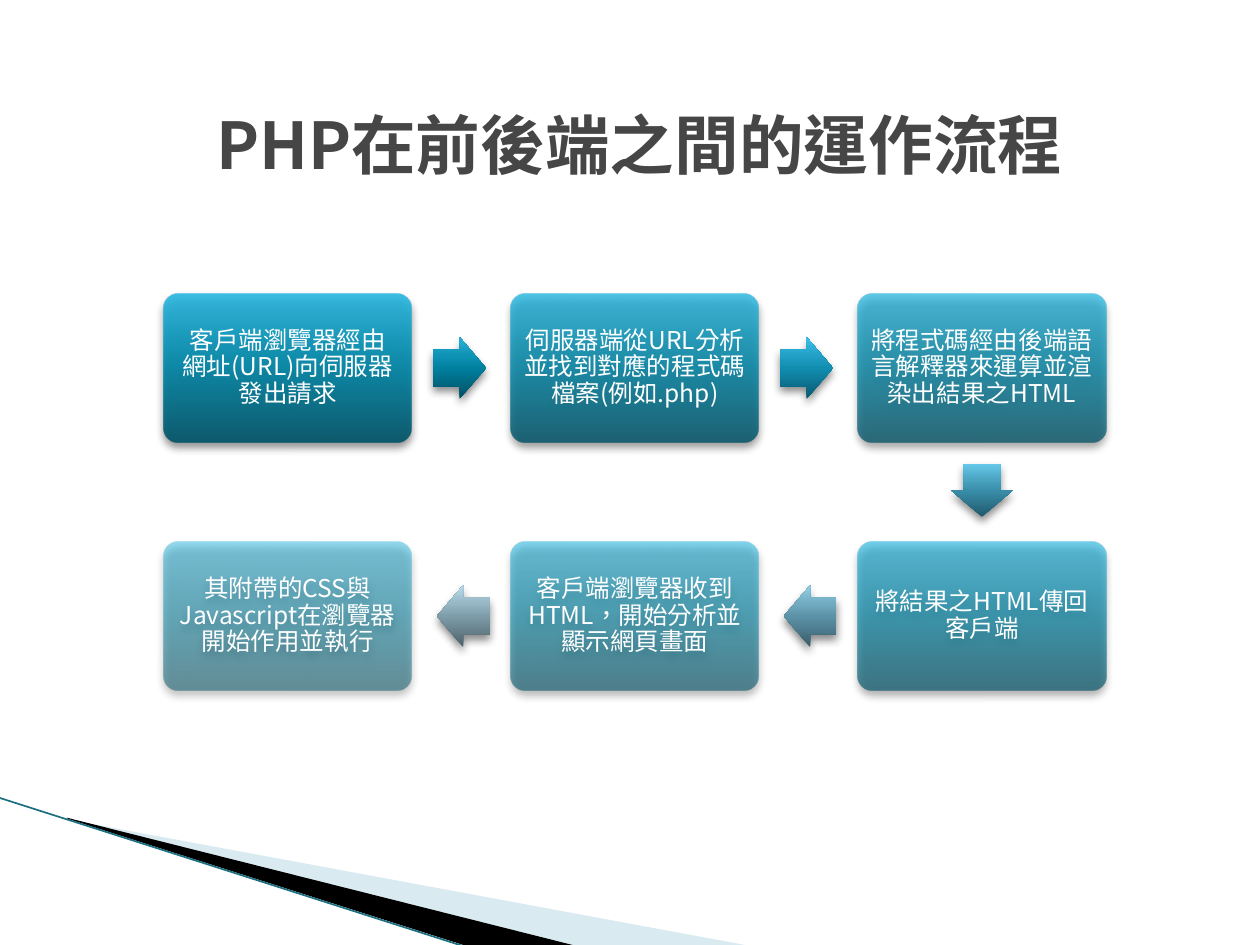
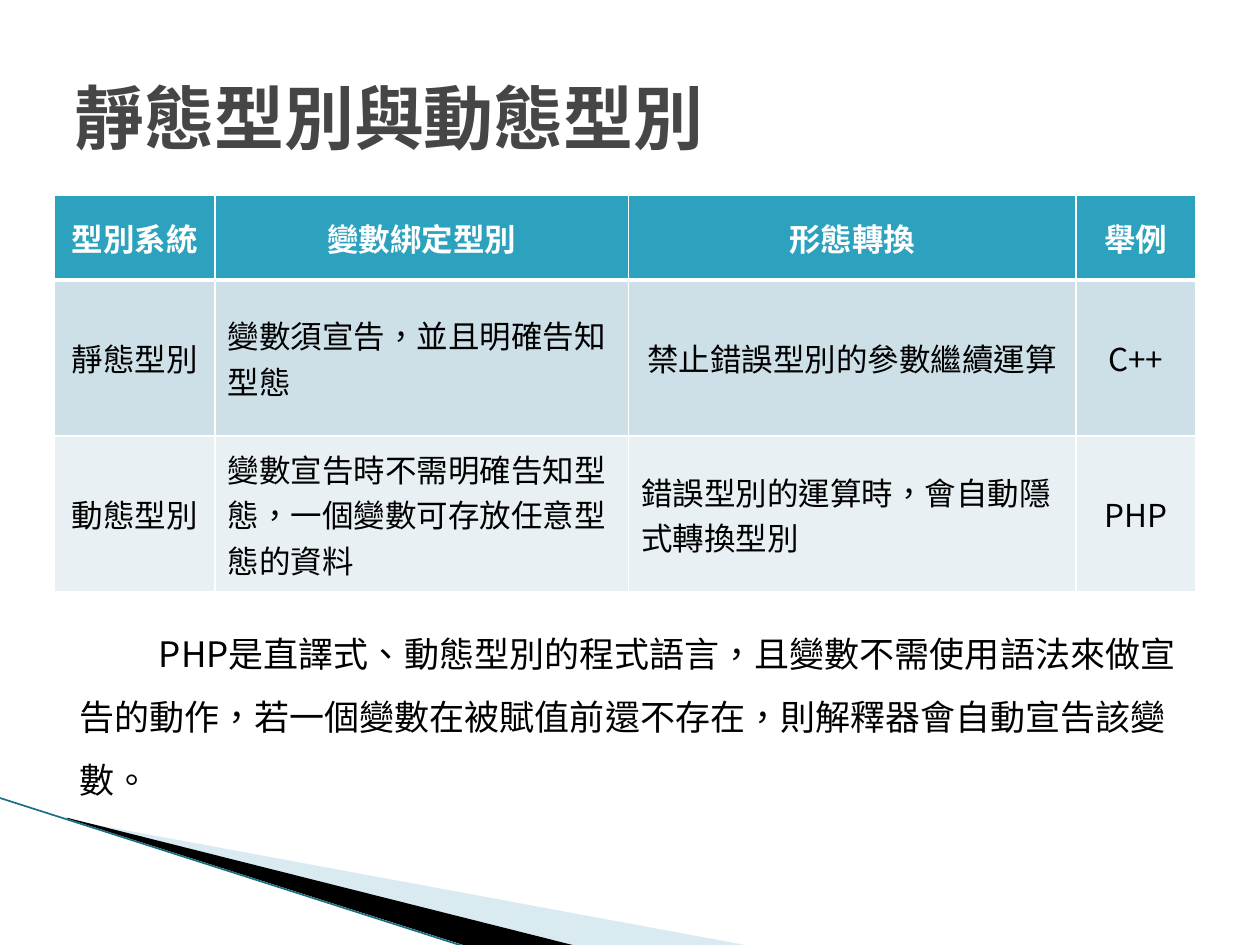
from lxml import etree
from pptx import Presentation
from pptx.dml.color import RGBColor
from pptx.enum.shapes import MSO_CONNECTOR, MSO_SHAPE
from pptx.enum.text import MSO_ANCHOR, MSO_AUTO_SIZE, PP_ALIGN
from pptx.oxml import parse_xml
from pptx.oxml.ns import nsdecls, qn
from pptx.util import Pt

LEFT, CENTER = PP_ALIGN.LEFT, PP_ALIGN.CENTER
MIDDLE = MSO_ANCHOR.MIDDLE
RIGHT_ARROW, LEFT_ARROW, DOWN_ARROW = (
    MSO_SHAPE.RIGHT_ARROW, MSO_SHAPE.LEFT_ARROW, MSO_SHAPE.DOWN_ARROW)
ROUNDED_RECTANGLE = MSO_SHAPE.ROUNDED_RECTANGLE
STRAIGHT = MSO_CONNECTOR.STRAIGHT
NO_AUTOFIT = MSO_AUTO_SIZE.NONE
FONT, MONO = "Noto Sans CJK SC", "Courier New"
LANGUAGE = "zh-TW"
COLORS = {
    "title": "464646", "text": "000000", "white": "FFFFFF",
    "swoosh": "A0CBDC", "swoosh_dark": "000000", "swoosh_line": "1A6F80",
    "header": "2DA2BF", "static_row": "CDE0E8", "dynamic_row": "E8F0F4",
}

# Content
FLOW_TITLE = "PHP在前後端之間的運作流程"
STEPS = [
    "客戶端瀏覽器經由 網址(URL)向伺服器發出請求",
    "伺服器端從URL分析並找到對應的程式碼檔案(例如.php)",
    "將程式碼經由後端語言解釋器來運算並渲染出結果之HTML",
    "將結果之HTML傳回客戶端",
    "客戶端瀏覽器收到HTML，開始分析並顯示網頁畫面",
    "其附帶的CSS與Javascript在瀏覽器開始作用並執行",
]
STEP_GRADIENT = ["005367", "0086A7", "0E9ABE", "2CB9E3"]
ARROW_GRADIENTS = [
    ["004F63", "00809F", "0E93B6", "2DB2D9"],
    ["085970", "118DB0", "22A0C6", "3CC2ED"],
    ["21596C", "398EAA", "4BA4C2", "65C8EA"],
    ["385C69", "5D93A8", "72ABC1", "90D1E9"],
    ["4D6169", "7E9CA9", "97B6C4", "B9DDED"],
]
TYPES_TITLE = "靜態型別與動態型別"
TYPE_ROWS = [
    ["型別系統", "變數綁定型別", "形態轉換", "舉例"],
    ["靜態型別", "變數須宣告，並且明確告知型態", "禁止錯誤型別的參數繼續運算", "C++"],
    ["動態型別", "變數宣告時不需明確告知型態，一個變數可存放任意型態的資料",
     "錯誤型別的運算時，會自動隱式轉換型別", "PHP"],
]
LEFT_ALIGNED = {(1, 1), (2, 1), (2, 2)}
COLUMN_WIDTHS = [92, 236.2, 255.6, 68.4]
ROW_HEIGHTS = [48.4, 89.2, 89.2]
ROW_FILLS = ["header", "static_row", "dynamic_row"]
SUMMARY = ("PHP是直譯式、動態型別的程式語言，且變數不需使用語法來做宣告的動作，"
           "若一個變數在被賦值前還不存在，則解釋器會自動宣告該變數。")

# Corner decoration: outline, colour, opacity in percent
SWOOSHES = [
    ([(39.6, 468.5), (428.4, 540.5), (328.3, 540.5), (39.6, 468)], "swoosh", 40),
    ([(38.2, 467.3), (329, 540.5), (267.8, 541), (38.9, 468)], "swoosh_dark", 100),
]
SWOOSH_LINE = [(-0.7, 455.8), (267.1, 541.4)]

# Step grid
COLUMNS = 3
GRID_LEFT, GRID_TOP = 93.6, 167.8
STEP_W, STEP_H = 141.8, 85
PITCH_X, PITCH_Y = 198.3, 141.8
ARROW_LENGTH, ARROW_BREADTH = 30.2, 35.3


def rgb(name):
    return RGBColor.from_string(COLORS[name])


def points(*values):
    return [Pt(value) for value in values]


def style(paragraph, size, color, bold=False, align=LEFT, latin=FONT):
    paragraph.alignment = align
    font = paragraph.font
    font.size, font.bold, font.name = Pt(size), bold, latin
    font.color.rgb = rgb(color)
    defaults = paragraph._p.pPr.find(qn("a:defRPr"))
    defaults.set("lang", LANGUAGE)
    etree.SubElement(defaults, qn("a:ea"), typeface=FONT)
    # Traditional Chinese centres its commas and full stops
    for run in paragraph.runs:
        run._r.get_or_add_rPr().set("lang", LANGUAGE)


def set_gradient(shape, colors, opacity=100):
    """Give the shape a bottom-to-top gradient and a soft shadow below it."""
    stops = "".join(
        f'<a:gs pos="{pos}000"><a:srgbClr val="{color}">'
        f'<a:alpha val="{opacity}000"/></a:srgbClr></a:gs>'
        for pos, color in zip((0, 50, 70, 100), colors))
    shape.line.fill.background()
    line = shape._element.spPr.find(qn("a:ln"))
    line.addprevious(parse_xml(
        f'<a:gradFill {nsdecls("a")} rotWithShape="1"><a:gsLst>{stops}</a:gsLst>'
        '<a:lin ang="16200000" scaled="0"/></a:gradFill>'))
    line.addnext(parse_xml(
        f'<a:effectLst {nsdecls("a")}><a:outerShdw blurRad="{Pt(5)}" '
        f'dist="{Pt(3)}" dir="5400000" rotWithShape="0"><a:srgbClr val="000000">'
        '<a:alpha val="45000"/></a:srgbClr></a:outerShdw></a:effectLst>'))


def add_decoration(slide):
    for outline, color, opacity in SWOOSHES:
        corners = [points(*corner) for corner in outline]
        builder = slide.shapes.build_freeform(*corners[0])
        builder.add_line_segments(corners[1:], close=True)
        swoosh = builder.convert_to_shape()
        swoosh.shadow.inherit = False
        swoosh.line.fill.background()
        swoosh.fill.solid()
        swoosh.fill.fore_color.rgb = rgb(color)
        if opacity < 100:
            tint = swoosh._element.spPr.find(".//" + qn("a:srgbClr"))
            etree.SubElement(tint, qn("a:alpha"), val=f"{opacity}000")
    start, end = SWOOSH_LINE
    edge = slide.shapes.add_connector(STRAIGHT, *points(*start), *points(*end))
    edge.line.color.rgb = rgb("swoosh_line")
    edge.line.width = Pt(0.95)
    etree.SubElement(edge._element.spPr, qn("a:effectLst"))


def new_slide(prs, title_text, box, size, align, latin=FONT):
    slide = prs.slides.add_slide(prs.slide_layouts[5])
    add_decoration(slide)
    title = slide.shapes.title
    title.left, title.top, title.width, title.height = points(*box)
    frame = title.text_frame
    frame.text = title_text
    frame.auto_size = NO_AUTOFIT
    frame.vertical_anchor = MIDDLE
    style(frame.paragraphs[0], size, "title", True, align, latin)
    return slide


def step_center(index):
    """Steps run rightwards on the first row and back on the next."""
    row, column = divmod(index, COLUMNS)
    if row % 2:
        column = COLUMNS - 1 - column
    return (GRID_LEFT + column * PITCH_X + STEP_W / 2,
            GRID_TOP + row * PITCH_Y + STEP_H / 2)


def add_centered(slide, kind, x, y, width, height):
    return slide.shapes.add_shape(
        kind, *points(x - width / 2, y - height / 2, width, height))


def add_step(slide, index, text):
    step = add_centered(slide, ROUNDED_RECTANGLE,
                        *step_center(index), STEP_W, STEP_H)
    step.adjustments[0] = 0.1
    set_gradient(step, STEP_GRADIENT, 90 - 8 * index)
    frame = step.text_frame
    frame.word_wrap = True
    frame.vertical_anchor = MIDDLE
    frame.margin_left = frame.margin_right = Pt(4.3)
    frame.margin_top = frame.margin_bottom = Pt(4.3)
    frame.text = text
    frame.paragraphs[0].line_spacing = 0.9
    style(frame.paragraphs[0], 14, "white", align=CENTER)


def add_step_arrow(slide, index, colors):
    (x1, y1), (x2, y2) = step_center(index), step_center(index + 1)
    x, y = (x1 + x2) / 2, (y1 + y2) / 2
    # Each arrow sits one point nearer to the step it leaves
    if x1 == x2:
        arrow = add_centered(slide, DOWN_ARROW, x, y - 1,
                             ARROW_BREADTH, ARROW_LENGTH)
    else:
        kind, shift = (RIGHT_ARROW, -1) if x2 > x1 else (LEFT_ARROW, 1)
        arrow = add_centered(slide, kind, x + shift, y,
                             ARROW_LENGTH, ARROW_BREADTH)
    arrow.adjustments[0], arrow.adjustments[1] = 0.6, 0.5
    set_gradient(arrow, colors)


def set_borders(cell, bottom):
    properties = cell._tc.get_or_add_tcPr()
    for side, width in (("L", 1), ("R", 1), ("T", 1), ("B", bottom)):
        properties.append(parse_xml(
            f'<a:ln{side} {nsdecls("a")} w="{Pt(width)}"><a:solidFill>'
            f'<a:srgbClr val="{COLORS["white"]}"/></a:solidFill></a:ln{side}>'))


def add_type_table(slide):
    table = slide.shapes.add_table(
        len(ROW_HEIGHTS), len(COLUMN_WIDTHS),
        *points(31, 111.6, sum(COLUMN_WIDTHS), sum(ROW_HEIGHTS))).table
    for column, width in zip(table.columns, COLUMN_WIDTHS):
        column.width = Pt(width)
    for r, texts in enumerate(TYPE_ROWS):
        table.rows[r].height = Pt(ROW_HEIGHTS[r])
        header = r == 0
        for c, text in enumerate(texts):
            cell = table.cell(r, c)
            set_borders(cell, 3 if header else 1)
            cell.fill.solid()
            cell.fill.fore_color.rgb = rgb(ROW_FILLS[r])
            cell.vertical_anchor = MIDDLE
            cell.text = text
            style(cell.text_frame.paragraphs[0], 18,
                  "white" if header else "text", header,
                  LEFT if (r, c) in LEFT_ALIGNED else CENTER)


def add_summary(slide):
    frame = slide.shapes.add_textbox(*points(38.2, 345.6, 645, 134)).text_frame
    frame.word_wrap = True
    frame.text = SUMMARY
    paragraph = frame.paragraphs[0]
    paragraph.line_spacing = 1.5
    paragraph.space_before = Pt(4)
    style(paragraph, 20, "text")
    paragraph._p.pPr.set("marL", "0")
    paragraph._p.pPr.set("indent", str(Pt(45.5)))


def main():
    prs = Presentation()
    prs.slide_width, prs.slide_height = Pt(720), Pt(540)

    # Request flow
    flow = new_slide(prs, FLOW_TITLE, (64.8, 53.4, 601.2, 57), 36.9, CENTER)
    for index, text in enumerate(STEPS):
        add_step(flow, index, text)
    for index, colors in enumerate(ARROW_GRADIENTS):
        add_step_arrow(flow, index, colors)

    # Type systems
    types_slide = new_slide(prs, TYPES_TITLE, (35.3, 21.6, 648, 90), 40, LEFT, MONO)
    add_type_table(types_slide)
    add_summary(types_slide)

    prs.save("out.pptx")


if __name__ == "__main__":
    main()
